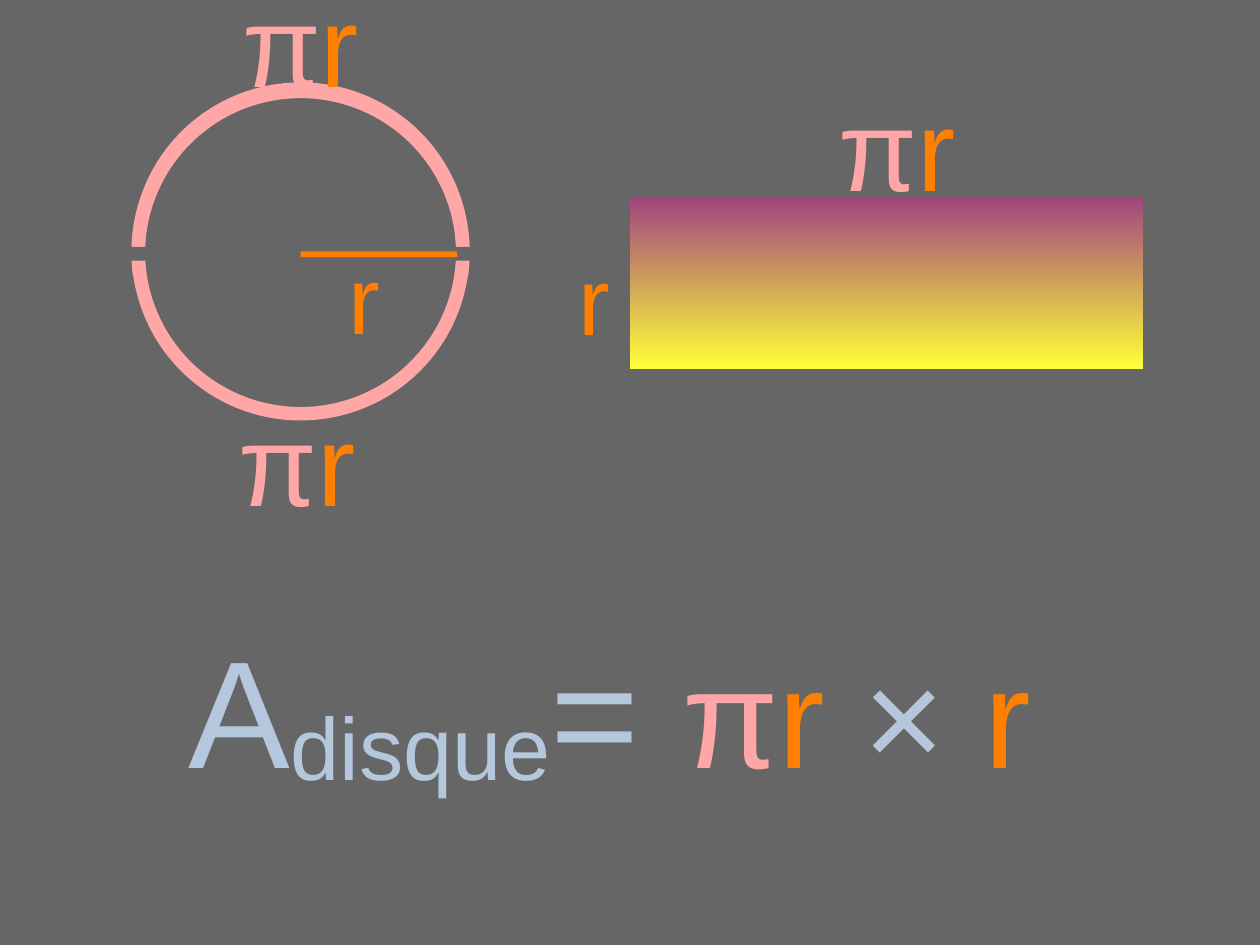
import pptx
import pptx.util
import pptx.dml.color
import pptx.enum.shapes
import pptx.enum.text

Inches = pptx.util.Inches
RGB = pptx.dml.color.RGBColor
KIND = pptx.enum.shapes.MSO_SHAPE

GREY = RGB(0x66, 0x66, 0x66)
PINK = RGB(0xFF, 0xA6, 0xA6)
ORANGE = RGB(0xFF, 0x80, 0x00)
BLUE = RGB(0xB4, 0xC7, 0xDC)
PLUM = RGB(0xA1, 0x46, 0x7E)
YELLOW = RGB(0xFF, 0xFF, 0x38)

# The page is 28 by 21 centimetres
WIDE, HIGH = 28 / 2.54, 21 / 2.54


class Board:
    font = "Arial"

    def __init__(self, slide):
        self.slide = slide

    def shape(self, kind, box):
        item = self.slide.shapes.add_shape(kind, *map(Inches, box))
        item.shadow.inherit = False
        return item

    def rect(self, box, color):
        item = self.shape(KIND.RECTANGLE, box)
        item.fill.solid()
        item.fill.fore_color.rgb = color
        item.line.fill.background()

    def ring(self, box, color, width):
        item = self.shape(KIND.OVAL, box)
        item.fill.background()
        item.line.color.rgb = color
        item.line.width = pptx.util.Pt(width)

    def blend(self, box, top, base):
        item = self.shape(KIND.RECTANGLE, box)
        item.line.fill.background()
        item.fill.gradient()
        item.fill.gradient_angle = 270
        for stop, color in zip(item.fill.gradient_stops, (top, base)):
            stop.color.rgb = color

    def text(self, box, parts, inset=(0.1, 0.05), middle=False):
        """Each part is (text, size, color) with an optional baseline shift."""
        frame = self.slide.shapes.add_textbox(*map(Inches, box)).text_frame
        frame.word_wrap = True
        frame.margin_left = frame.margin_right = Inches(inset[0])
        frame.margin_top = frame.margin_bottom = Inches(inset[1])
        if middle:
            frame.vertical_anchor = pptx.enum.text.MSO_ANCHOR.MIDDLE
        para = frame.paragraphs[0]
        para.font.name = self.font
        for words, size, color, *shift in parts:
            run = para.add_run()
            run.text = words
            run.font.size = pptx.util.Pt(size)
            run.font.color.rgb = color
            if shift:
                run.font._element.set("baseline", str(shift[0] * 1000))


def main():
    deck = pptx.Presentation()
    deck.slide_width, deck.slide_height = Inches(WIDE), Inches(HIGH)
    board = Board(deck.slides.add_slide(deck.slide_layouts[6]))
    arc = [("π", 72, PINK), ("r", 72, ORANGE)]
    ray = [("r", 60, ORANGE)]

    # Background
    board.rect((0, 0, WIDE, HIGH), GREY)

    # Circle cut into two halves
    for top, mask in ((0.8, (1.06, 2.41, 3.28, 1.76)),
                      (0.78, (1.02, 2.16, 3.28, 0.12))):
        board.ring((1.21, top, 2.84, 2.84), PINK, 8.5)
        board.rect(mask, GREY)
    board.text((2.02, -0.28, 1.87, 3.08), arc)
    board.rect((2.63, 2.2, 1.37, 0.05), ORANGE)
    board.text((1.99, 3.38, 1.87, 3.08), arc)
    board.text((2.95, 2.04, 0.5, 1.03), ray)

    # Rectangle of the same area
    board.blend((5.51, 1.73, 4.49, 1.5), PLUM, YELLOW)
    board.text((7.24, 0.63, 1.81, 2.33), arc)
    board.text((4.96, 2.05, 0.65, 1.33), ray)

    # Formula
    board.text((1.65, 4.7, 8.98, 2.98), [
        ("A", 96, BLUE), ("disque", 96, BLUE, -8), ("= ", 96, BLUE),
        ("π", 88, PINK), ("r", 88, ORANGE),
        (" × ", 88, BLUE), ("r", 88, ORANGE),
    ], inset=(0, 0), middle=True)

    deck.save("out.pptx")


if __name__ == "__main__":
    main()
